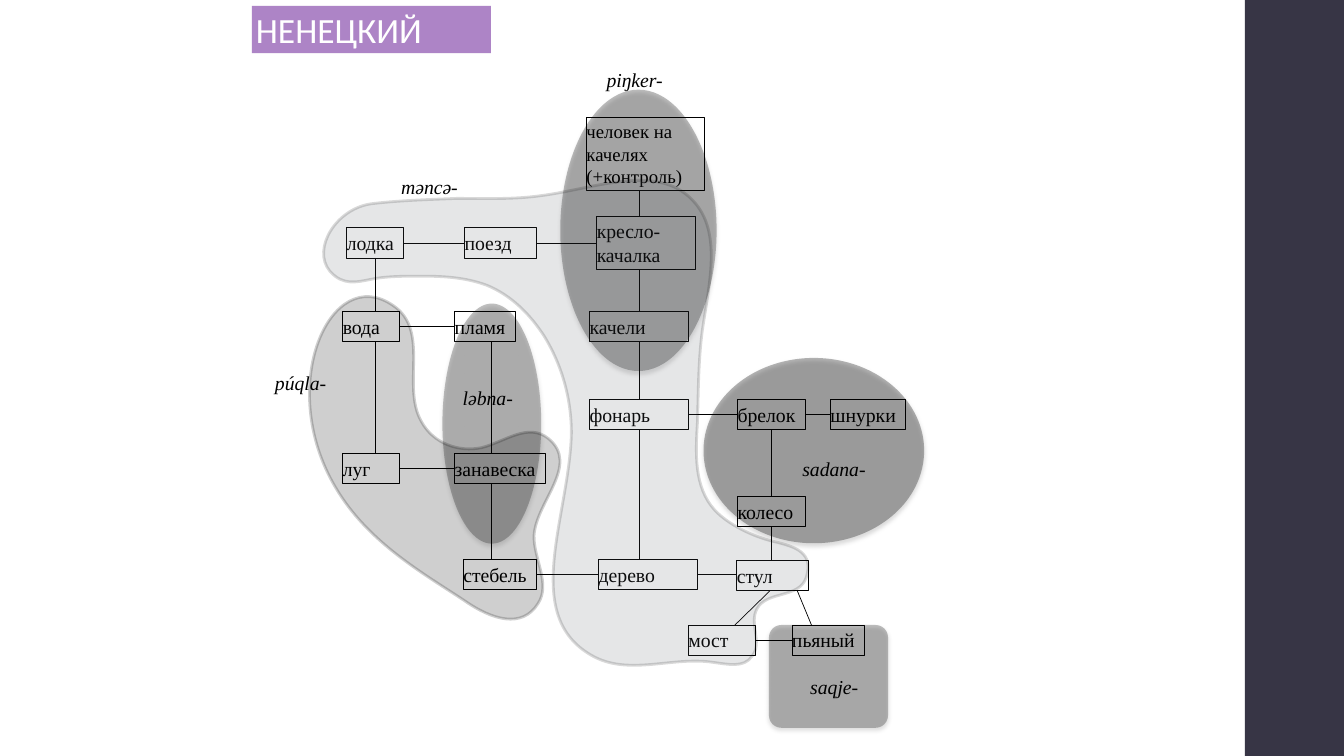
from dataclasses import dataclass

from pptx import Presentation
from pptx.dml.color import RGBColor
from pptx.enum.shapes import MSO_CONNECTOR as Wire, MSO_SHAPE as Kind
from pptx.enum.text import MSO_ANCHOR as Anchor, PP_ALIGN as Align
from pptx.oxml.ns import qn
from pptx.util import Cm, Pt
from lxml.etree import SubElement as Sub

SERIF = "Times New Roman"
BLACK = "000000"


@dataclass
class Node:
    text: str
    x: float
    y: float
    w: float
    h: float = 0.76
    size: float = 14.1


@dataclass
class Drop:
    """Link from the bottom of one node to the top of another."""
    top: str
    low: str
    x: float
    end: float | None = None


@dataclass
class Zone:
    kind: Kind
    box: tuple[float, float, float, float]
    alpha: int


@dataclass
class Blob:
    """Closed outline: a start point, then curves of three points each."""
    box: tuple[float, float, float, float]
    start: tuple[float, float]
    curves: list[tuple[float, ...]]
    color: str
    alpha: int


NODES = [
    Node("качели", 14.86, 7.85, 2.49),
    Node("человек на качелях (+контроль)", 14.78, 2.95, 2.97, 1.84, 13.4),
    Node("кресло-качалка", 15.04, 5.46, 2.49, 1.32),
    Node("фонарь", 14.86, 10.06, 2.49),
    Node("дерево", 15.09, 14.1, 2.49),
    Node("брелок", 18.59, 10.06, 1.7),
    Node("шнурки", 20.93, 10.06, 1.88),
    Node("колесо", 18.59, 12.5, 1.7),
    Node("стул", 18.57, 14.12, 1.8),
    Node("мост", 17.35, 15.75, 1.7),
    Node("пьяный", 19.96, 15.75, 1.83),
    Node("поезд", 11.71, 5.74, 1.8),
    Node("лодка", 8.74, 5.74, 1.42),
    Node("вода", 8.64, 7.85, 1.42),
    Node("луг", 8.64, 11.43, 1.42),
    Node("занавеска", 11.46, 11.43, 2.29),
    Node("стебель", 11.68, 14.1, 1.83),
    Node("пламя", 11.46, 7.85, 1.52),
]
ROWS = [
    ("лодка", "поезд"), ("поезд", "кресло-качалка"), ("вода", "пламя"),
    ("луг", "занавеска"), ("фонарь", "брелок"), ("брелок", "шнурки"),
    ("стебель", "дерево"), ("дерево", "стул"), ("мост", "пьяный"),
]
DROPS = [
    Drop("человек на качелях (+контроль)", "кресло-качалка", 16.1),
    Drop("кресло-качалка", "качели", 16.1),
    Drop("качели", "фонарь", 16.1),
    Drop("фонарь", "дерево", 16.1),
    Drop("брелок", "колесо", 19.43),
    Drop("колесо", "стул", 19.43),
    Drop("стул", "мост", 19.41, 18.52),
    Drop("стул", "пьяный", 20.09, 20.45),
    Drop("лодка", "вода", 9.46),
    Drop("вода", "луг", 9.46),
    Drop("пламя", "занавеска", 12.38),
    Drop("занавеска", "стебель", 12.38),
]
LABELS = [
    Node("piŋker-", 15.29, 1.73, 1.63, 0.56),
    Node("púqla-", 6.93, 9.37, 1.52, 0.56),
    Node("lәbna-", 11.66, 9.75, 1.5, 0.56),
    Node("saqje-", 20.42, 17.02, 1.45, 0.56),
    Node("sadana-", 20.22, 11.53, 1.83, 0.56),
    Node("mәncә-", 10.11, 4.42, 1.65, 0.56),
]
ROCK = Blob((8.15, 4.55, 12.22, 12.22), (14.99, 16.56), [
    (13.08, 15.57, 14.35, 13.03, 14.4, 10.92),
    (14.4, 10.06, 14.17, 9.22, 13.72, 8.48),
    (13.36, 7.92, 12.88, 7.44, 12.27, 7.19),
    (11.73, 6.99, 11.18, 6.96, 10.62, 6.96),
    (10.19, 6.96, 9.73, 6.96, 9.35, 7.04),
    (8.99, 7.11, 8.64, 7.21, 8.31, 6.83),
    (7.85, 6.27, 8.48, 5.23, 9.4, 5.13),
    (10.08, 5.05, 10.8, 5.03, 11.51, 5),
    (12.22, 5, 12.93, 5.03, 13.64, 4.93),
    (15.04, 4.75, 16.64, 4.06, 17.53, 5.13),
    (18.19, 5.92, 17.86, 7.21, 17.7, 8.33),
    (17.6, 9.09, 17.6, 9.86, 17.58, 10.62),
    (17.53, 11.4, 17.48, 12.27, 18.01, 12.85),
    (18.34, 13.21, 18.95, 13.51, 19.48, 13.64),
    (20.04, 13.77, 20.52, 13.92, 20.32, 14.55),
    (20.14, 15.09, 19.33, 14.88, 19.08, 15.34),
    (18.87, 15.7, 19.23, 16.21, 18.95, 16.54),
    (18.75, 16.84, 18.34, 16.74, 17.96, 16.69),
    (16.97, 16.54, 15.9, 17.02, 14.99, 16.56),
], "53585F", 15)
WAVE = Blob((7.8, 7.47, 6.32, 8.13), (9.91, 7.7), [
    (10.85, 8.33, 10.11, 9.73, 10.62, 10.62),
    (10.92, 11.18, 11.56, 11.4, 12.14, 11.28),
    (12.73, 11.13, 13.31, 10.64, 13.82, 11.05),
    (14.63, 11.71, 13.51, 12.65, 13.46, 13.49),
    (13.44, 14.07, 13.89, 14.71, 13.56, 15.21),
    (13.16, 15.85, 12.4, 15.62, 11.71, 15.14),
    (10.67, 14.45, 9.27, 13.67, 8.46, 12.29),
    (6.93, 9.73, 8.33, 6.6, 9.91, 7.7),
], BLACK, 19)
ZONES = [
    Zone(Kind.ROUNDED_RECTANGLE, (19.38, 15.75, 3, 2.59), 25),
    Zone(Kind.OVAL, (14.12, 2.26, 3.94, 7.09), 26),
    Zone(Kind.OVAL, (17.73, 9.02, 5.56, 4.67), 29),
    ROCK,
    Zone(Kind.OVAL, (11.15, 7.65, 2.49, 6.05), 24),
    WAVE,
]


def paint(fill, color: str, alpha: int = 100) -> None:
    fill.solid()
    fill.fore_color.rgb = RGBColor.from_string(color)
    if alpha < 100:
        tint = fill._xPr.find(qn("a:solidFill"))[0]
        Sub(tint, qn("a:alpha"), val=str(alpha * 1000))


def add_box(slide, kind: Kind, box: tuple[float, ...], color: str | None = None, alpha: int = 100):
    shape = slide.shapes.add_shape(kind, *map(Cm, box))
    shape.shadow.inherit = False
    shape.line.fill.background()
    if color:
        paint(shape.fill, color, alpha)
    else:
        shape.fill.background()
    return shape


def write(shape, text: str, size: float, face: str = SERIF, color: str = BLACK,
          pad: float = 0, slant: bool = False) -> None:
    frame = shape.text_frame
    frame.word_wrap = True
    frame.vertical_anchor = Anchor.MIDDLE
    frame.margin_left = frame.margin_right = frame.margin_top = frame.margin_bottom = Cm(pad)
    para = frame.paragraphs[0]
    para.alignment = Align.LEFT
    run = para.add_run()
    run.text = text
    run.font.name, run.font.size, run.font.italic = face, Pt(size), slant
    paint(run.font.fill, color)


def add_node(slide, node: Node, label: bool = False) -> None:
    shape = add_box(slide, Kind.RECTANGLE, (node.x, node.y, node.w, node.h))
    if not label:
        paint(shape.line.fill, BLACK)
        shape.line.width = Pt(0.5)
    write(shape, node.text, node.size, slant=label)


def link(slide, *ends: float) -> None:
    wire = slide.shapes.add_connector(Wire.STRAIGHT, *map(Cm, ends))
    paint(wire.line.fill, BLACK)
    wire.line.width = Pt(0.5)
    Sub(wire._element.spPr, qn("a:effectLst"))


def add_zone(slide, zone: Zone) -> None:
    shape = add_box(slide, zone.kind, zone.box, BLACK, zone.alpha)
    if zone.kind == Kind.ROUNDED_RECTANGLE:
        shape.adjustments[0] = 0.12
    glow = Sub(shape._element.spPr.find(qn("a:effectLst")), qn("a:outerShdw"), blurRad=str(Pt(3)),
               dist=str(Pt(2)), dir="5400000", rotWithShape="0")
    Sub(Sub(glow, qn("a:srgbClr"), val=BLACK), qn("a:alpha"), val="50000")


def add_blob(slide, blob: Blob) -> None:
    x, y, w, h = map(Cm, blob.box)
    maker = slide.shapes.build_freeform(x, y)
    maker.add_line_segments([(x + w, y), (x + w, y + h), (x, y + h)])
    shape = maker.convert_to_shape()
    route = shape._element.spPr.find(".//" + qn("a:path"))
    for step in list(route):
        route.remove(step)
    for tag, spots in [("a:moveTo", blob.start), *(("a:cubicBezTo", c) for c in blob.curves)]:
        step = Sub(route, qn(tag))
        for px, py in zip(spots[::2], spots[1::2]):
            Sub(step, qn("a:pt"), x=str(Cm(px) - x), y=str(Cm(py) - y))
    Sub(route, qn("a:close"))
    shape.shadow.inherit = False
    paint(shape.fill, blob.color, blob.alpha)
    paint(shape.line.fill, BLACK, blob.alpha)
    shape.line.width = Pt(2)


def main() -> None:
    deck = Presentation()
    deck.slide_width, deck.slide_height = Cm(33.87), Cm(19.05)
    slide = deck.slides.add_slide(deck.slide_layouts[6])
    add_box(slide, Kind.RECTANGLE, (31.37, 0, 2.5, 19.05), "373545")
    for node in NODES:
        add_node(slide, node)
    named = {node.text: node for node in NODES}
    for left, right in ROWS:
        a, b = named[left], named[right]
        mid = a.y + a.h / 2
        link(slide, a.x + a.w, mid, b.x, mid)
    for drop in DROPS:
        a, b = named[drop.top], named[drop.low]
        link(slide, drop.x, a.y + a.h, drop.end or drop.x, b.y)
    for zone in ZONES:
        (add_blob if isinstance(zone, Blob) else add_zone)(slide, zone)
    for label in LABELS:
        add_node(slide, label, label=True)
    title = add_box(slide, Kind.RECTANGLE, (6.35, 0.15, 6.02, 1.19), "AD84C6")
    write(title, "НЕНЕЦКИЙ", 25.3, "Calibri", "FFFFFF", 0.1)
    deck.save("out.pptx")


if __name__ == "__main__":
    main()
